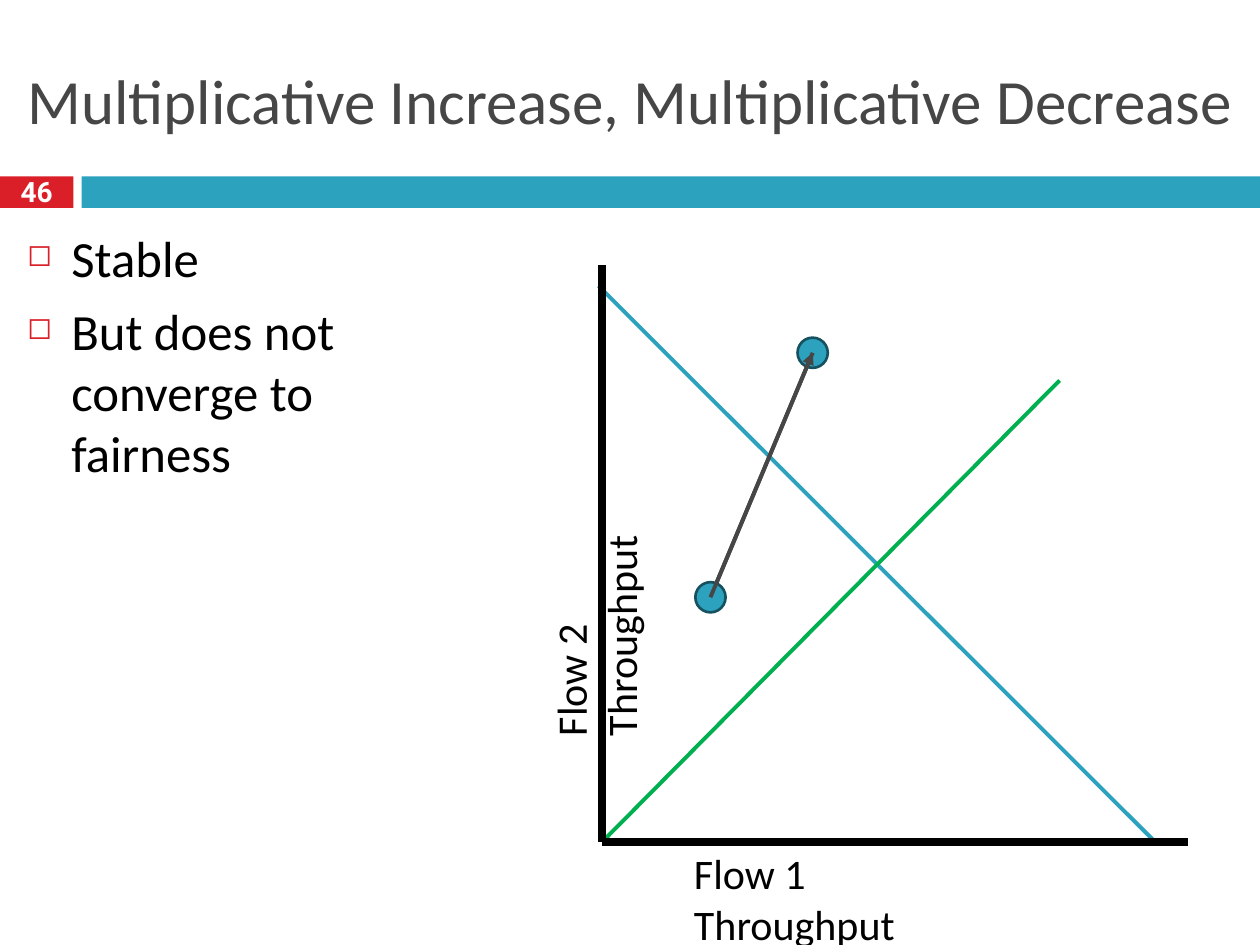
from dataclasses import dataclass
from typing import NamedTuple

from lxml import etree
from pptx import Presentation
from pptx.dml.color import RGBColor
from pptx.enum.shapes import MSO_CONNECTOR, MSO_SHAPE
from pptx.enum.text import MSO_ANCHOR, MSO_AUTO_SIZE, PP_ALIGN
from pptx.oxml.ns import qn
from pptx.util import Pt

STRAIGHT = MSO_CONNECTOR.STRAIGHT
RECTANGLE = MSO_SHAPE.RECTANGLE
OVAL = MSO_SHAPE.OVAL
TOP = MSO_ANCHOR.TOP
MIDDLE = MSO_ANCHOR.MIDDLE
LEFT = PP_ALIGN.LEFT
CENTER = PP_ALIGN.CENTER


@dataclass(frozen=True)
class Theme:
    red: str = "DA1F28"
    teal: str = "2DA2BF"
    dark_teal: str = "165160"
    green: str = "00B050"
    gray: str = "464646"
    black: str = "000000"
    white: str = "FFFFFF"
    font: str = "Calibri"
    number_font: str = "Roboto"
    title_size: float = 36
    body_size: float = 29
    label_size: float = 24
    number_size: float = 16


THEME = Theme()


class Box(NamedTuple):
    left: float
    top: float
    width: float
    height: float


class Point(NamedTuple):
    x: float
    y: float


@dataclass(frozen=True)
class Label:
    box: Box
    lines: tuple[str, ...]
    size: float
    color: str = THEME.black
    font: str = THEME.font
    bold: bool = False
    anchor: MSO_ANCHOR = TOP
    alignment: PP_ALIGN = LEFT
    wrap: bool = True
    rotation: float = 0
    line_spacing: float = 1
    bulleted: bool = False


@dataclass(frozen=True)
class Line:
    start: Point
    end: Point
    color: str
    width: float = 2.25
    arrow: bool = False


def color_of(value: str) -> RGBColor:
    return RGBColor.from_string(value)


def add_filled_shape(slide, kind: MSO_SHAPE, box: Box, fill: str, outline: str | None = None) -> None:
    shape = slide.shapes.add_shape(kind, *map(Pt, box))
    shape.shadow.inherit = False
    shape.fill.solid()
    shape.fill.fore_color.rgb = color_of(fill)
    if outline:
        shape.line.color.rgb = color_of(outline)
        shape.line.width = Pt(1.5)
    else:
        shape.line.fill.background()


def add_flow_state(slide, center: Point) -> None:
    diameter = 17.28
    box = Box(center.x - diameter / 2, center.y - diameter / 2, diameter, diameter)
    add_filled_shape(slide, OVAL, box, THEME.teal, THEME.dark_teal)


def add_bullet(paragraph) -> None:
    paragraph.space_before = Pt(7)
    properties = paragraph._p.get_or_add_pPr()
    properties.set("marL", str(Pt(25.2)))
    properties.set("indent", str(Pt(-25.2)))
    color = etree.SubElement(properties, qn("a:buClr"))
    etree.SubElement(color, qn("a:srgbClr"), val=THEME.red)
    etree.SubElement(properties, qn("a:buSzPct"), val="60000")
    etree.SubElement(properties, qn("a:buChar"), char="◻")


def add_label(slide, label: Label) -> None:
    shape = slide.shapes.add_textbox(*map(Pt, label.box))
    shape.rotation = label.rotation
    frame = shape.text_frame
    frame.word_wrap = label.wrap
    frame.auto_size = MSO_AUTO_SIZE.NONE
    frame.vertical_anchor = label.anchor
    frame.margin_left = frame.margin_right = Pt(3.6)
    frame.margin_top = frame.margin_bottom = Pt(3.6)
    frame.text = "\n".join(label.lines)
    for paragraph in frame.paragraphs:
        paragraph.alignment = label.alignment
        paragraph.line_spacing = label.line_spacing
        paragraph.font.name = label.font
        paragraph.font.size = Pt(label.size)
        paragraph.font.bold = label.bold
        paragraph.font.color.rgb = color_of(label.color)
        if label.bulleted:
            add_bullet(paragraph)


def add_line(slide, line: Line) -> None:
    connector = slide.shapes.add_connector(STRAIGHT, *map(Pt, (*line.start, *line.end)))
    connector.line.color.rgb = color_of(line.color)
    connector.line.width = Pt(line.width)
    if line.arrow:
        etree.SubElement(connector.line._get_or_add_ln(), qn("a:tailEnd"), type="triangle")
    etree.SubElement(connector._element.spPr, qn("a:effectLst"))


ORIGIN = Point(344.2, 481)
LOW_STATE = Point(406, 341.3)
HIGH_STATE = Point(464.4, 201.6)

BANDS = (
    (Box(0, 100.8, 42, 18), THEME.red),
    (Box(46.6, 100.8, 673.4, 18), THEME.teal),
)
LABELS = (
    Label(Box(12, 18, 696, 78), ("Multiplicative Increase, Multiplicative Decrease",),
          THEME.title_size, THEME.gray, anchor=MIDDLE),
    Label(Box(8.4, 98.6, 25.2, 25.2), ("46",), THEME.number_size, THEME.white,
          THEME.number_font, bold=True, anchor=MIDDLE, alignment=CENTER,
          wrap=False, line_spacing=0.8),
    Label(Box(12, 126, 240.5, 402), ("Stable", "But does not converge to fairness"),
          THEME.body_size, bulleted=True),
    Label(Box(393, 481, 182.6, 33.8), ("Flow 1 Throughput",), THEME.label_size),
    Label(Box(233.4, 316.1, 182.6, 33.8), ("Flow 2 Throughput",), THEME.label_size,
          rotation=270),
)
PLOT_LINES = (
    Line(Point(342, 163.4), Point(660, 481), THEME.teal),
    Line(ORIGIN, Point(605.5, 217.4), THEME.green),
    Line(ORIGIN, Point(679, 481), THEME.black, 4.5),
    Line(ORIGIN, Point(344.2, 151.2), THEME.black, 4.5),
)
TRANSITIONS = ((HIGH_STATE, LOW_STATE), (LOW_STATE, HIGH_STATE))

presentation = Presentation()
presentation.slide_width = Pt(720)
presentation.slide_height = Pt(540)
slide = presentation.slides.add_slide(presentation.slide_layouts[6])

for band_box, band_color in BANDS:
    add_filled_shape(slide, RECTANGLE, band_box, band_color)
for text_label in LABELS:
    add_label(slide, text_label)
for plot_line in PLOT_LINES:
    add_line(slide, plot_line)
for start, end in TRANSITIONS:
    add_flow_state(slide, start)
    add_line(slide, Line(start, end, THEME.gray, arrow=True))

presentation.save("out.pptx")
